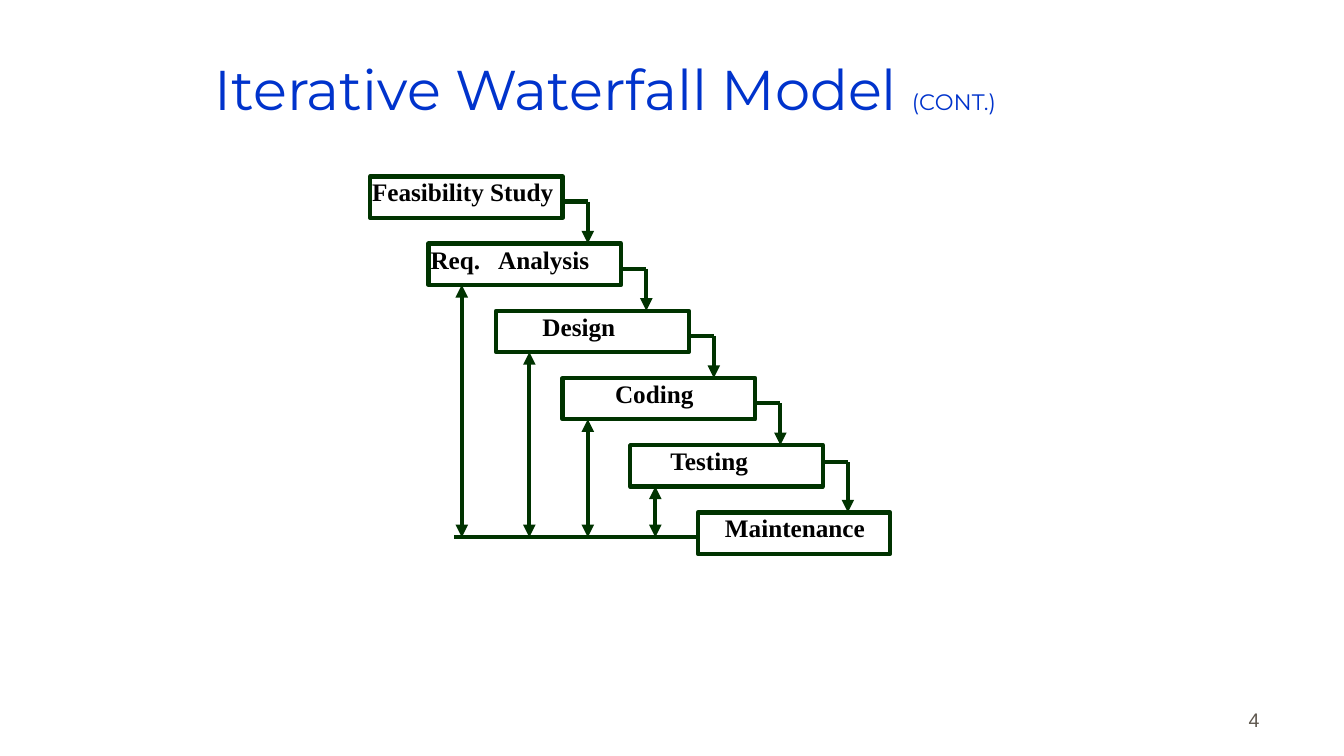
from lxml import etree
from pptx import Presentation
from pptx.dml.color import RGBColor
from pptx.enum.shapes import MSO_CONNECTOR, MSO_SHAPE
from pptx.enum.text import MSO_ANCHOR, PP_ALIGN
from pptx.oxml.ns import qn
from pptx.util import Inches, Pt

TITLE_RUNS = [("Iterative Waterfall Model ", 40), ("(CONT.)", 16)]
PAGE_NUMBER = "4"

# label, box left, text indent, drop of the exit line below the box top
PHASES = [
    ("Feasibility Study", 3.67, 0, 0.25),
    ("Req.\tAnalysis", 4.25, 0, 0.25),
    ("Design", 4.92, 0.44, 0.25),
    ("Coding", 5.58, 0.5, 0.25),
    ("Testing", 6.25, 0.38, 0.17),
    ("Maintenance", 6.92, 0.25, 0.25),
]
FEEDBACK_X = {1: 4.58, 2: 5.25, 3: 5.83, 4: 6.5}  # phase index: arrow position

FIRST_TOP, STEP = 1.75, 2 / 3
BOX_WIDTH, BOX_HEIGHT = 1.91, 0.41
EXIT_LENGTH = 0.25
FEEDBACK_Y, FEEDBACK_LEFT = 5.33, 4.5
GREEN, BLUE, BLACK, GREY = "003300", "0033CC", "000000", "5E574E"


def rgb(value):
    return RGBColor.from_string(value)


def format_frame(frame, anchor, left=0.02, right=0.02):
    margins = {"margin_left": left, "margin_right": right,
               "margin_top": 0.05, "margin_bottom": 0.05}
    for name, value in margins.items():
        setattr(frame, name, Inches(value))
    frame.word_wrap = True
    frame.vertical_anchor = anchor


def add_run(paragraph, text, color, **font_format):
    run = paragraph.add_run()
    run.text = text
    run.font.color.rgb = rgb(color)
    for name, value in font_format.items():
        setattr(run.font, name, value)


def add_line(slide, start, end, arrows=()):
    """Draw a line; arrows names its arrowheads, headEnd at start, tailEnd at end."""
    points = [Inches(value) for value in (*start, *end)]
    connector = slide.shapes.add_connector(MSO_CONNECTOR.STRAIGHT, *points)
    connector.line.color.rgb = rgb(GREEN)
    connector.line.width = Pt(3)
    line = connector.line._get_or_add_ln()
    for arrow in arrows:
        etree.SubElement(line, qn(f"a:{arrow}"), type="triangle")
    etree.SubElement(connector._element.spPr, qn("a:effectLst"))


def add_phase(slide, label, left, top, indent):
    box = slide.shapes.add_shape(
        MSO_SHAPE.ROUNDED_RECTANGLE,
        *[Inches(value) for value in (left, top, BOX_WIDTH, BOX_HEIGHT)])
    box.adjustments[0] = 0
    box.shadow.inherit = False
    box.fill.background()
    box.line.color.rgb = rgb(GREEN)
    box.line.width = Pt(3)
    format_frame(box.text_frame, MSO_ANCHOR.TOP, 0.02 + indent, 0)
    paragraph = box.text_frame.paragraphs[0]
    paragraph.alignment = PP_ALIGN.LEFT
    paragraph.line_spacing = 0.85
    if "\t" in label:
        tabs = etree.SubElement(paragraph._p.get_or_add_pPr(), qn("a:tabLst"))
        etree.SubElement(tabs, qn("a:tab"), pos=str(Inches(0.67)), algn="l")
    add_run(paragraph, label, BLACK, name="Times New Roman", size=Pt(18), bold=True)


def add_title(slide):
    title = slide.shapes.title
    title.left, title.top, title.width, title.height = map(Inches, (2.11, 0.25, 8.5, 1.25))
    format_frame(title.text_frame, MSO_ANCHOR.MIDDLE)
    paragraph = title.text_frame.paragraphs[0]
    paragraph.alignment = PP_ALIGN.LEFT
    for text, size in TITLE_RUNS:
        add_run(paragraph, text, BLUE, name="Montserrat", size=Pt(size))


def add_page_number(slide):
    box = slide.shapes.add_textbox(*map(Inches, (9.81, 6.81, 2.78, 0.5)))
    format_frame(box.text_frame, MSO_ANCHOR.BOTTOM, 0.1, 0.1)
    paragraph = box.text_frame.paragraphs[0]
    paragraph.alignment = PP_ALIGN.RIGHT
    add_run(paragraph, PAGE_NUMBER, GREY, name="Arial", size=Pt(14))


def add_waterfall(slide):
    for index, (label, left, indent, drop) in enumerate(PHASES):
        top = FIRST_TOP + index * STEP
        add_phase(slide, label, left, top, indent)
        if index < len(PHASES) - 1:
            right, exit_y = left + BOX_WIDTH, top + drop
            corner = (right + EXIT_LENGTH, exit_y)
            add_line(slide, (right, exit_y), corner)
            add_line(slide, corner, (corner[0], top + STEP), ["tailEnd"])
        if index in FEEDBACK_X:
            x = FEEDBACK_X[index]
            add_line(slide, (x, FEEDBACK_Y), (x, top + BOX_HEIGHT), ["headEnd", "tailEnd"])
    add_line(slide, (PHASES[-1][1], FEEDBACK_Y), (FEEDBACK_LEFT, FEEDBACK_Y))


def main():
    presentation = Presentation()
    presentation.slide_width, presentation.slide_height = Inches(13.33), Inches(7.5)
    slide = presentation.slides.add_slide(presentation.slide_layouts[5])
    add_title(slide)
    add_waterfall(slide)
    add_page_number(slide)
    presentation.save("out.pptx")


if __name__ == "__main__":
    main()
